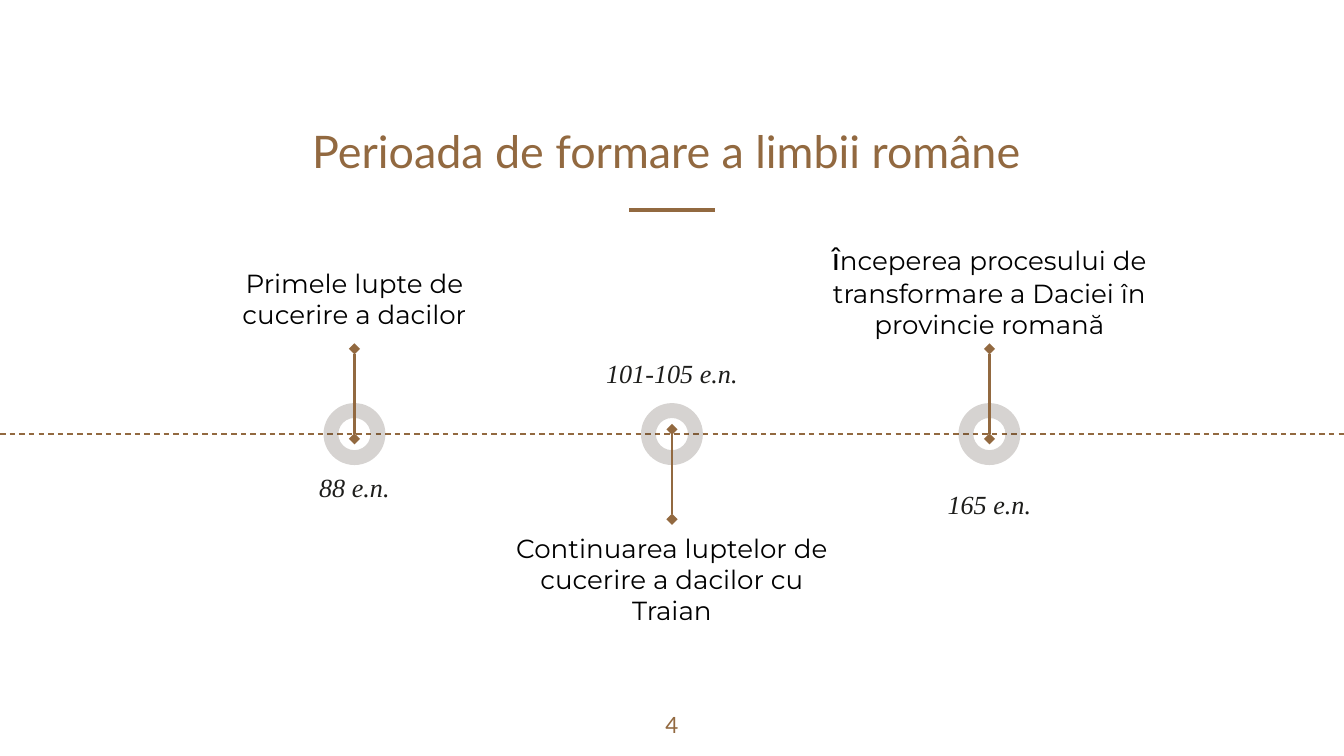
import pptx
import pptx.dml.color
import pptx.enum.dml
import pptx.enum.shapes
import pptx.enum.text
import pptx.oxml
import pptx.oxml.ns
import pptx.util
from dataclasses import dataclass

Cm = pptx.util.Cm
Pt = pptx.util.Pt
WIDTH, HEIGHT = 25.4, 14.28
MID = WIDTH / 2
AXIS = 8.2
PITCH = 6.0


@dataclass(frozen=True)
class Theme:
    brown: str = "926940"
    ring: str = "403228"
    black: str = "000000"
    ink: str = "1D1D1B"
    head: str = "Lato"
    body: str = "Montserrat"
    date: str = "Times New Roman"
    initial: str = "Calibri"
    title_size: int = 24
    text_size: int = 14
    page_size: int = 12
    initial_size: int = 18
    ring_alpha: int = 21


THEME = Theme()


@dataclass(frozen=True)
class Event:
    note: str
    date: str
    note_top: float
    note_width: float
    note_height: float
    date_top: float
    side: int  # -1: note above the axis, 1: below
    initial: str = ""


EVENTS = [
    Event("Primele lupte de cucerire a dacilor", "88 e.n.",
          4.8, 4.8, 2.49, 8.66, -1),
    Event("Continuarea luptelor de cucerire a dacilor cu Traian",
          "101-105 e.n.", 9.8, 6.88, 1.14, 6.5, 1),
    Event("nceperea procesului de transformare a Daciei în provincie romană",
          "165 e.n.", 4.22, 6.88, 1.14, 8.97, -1, "î"),
]


def rgb(code):
    return pptx.dml.color.RGBColor.from_string(code)


def add_xml(parent, tag, **attrs):
    node = pptx.oxml.parse_xml(f"<a:{tag} {pptx.oxml.ns.nsdecls('a')}/>")
    for key, value in attrs.items():
        node.set(key, value)
    parent.append(node)


def style(font, name, size, color, italic=False):
    font.name, font.size, font.italic = name, Pt(size), italic
    font.color.rgb = rgb(color)


def add_text(slide, text, mid, top, width, height, look, initial="",
             anchor=pptx.enum.text.MSO_ANCHOR.TOP):
    """Add a centred text, with an optional larger first letter."""
    box = slide.shapes.add_textbox(Cm(mid - width / 2), Cm(top),
                                   Cm(width), Cm(height))
    frame = box.text_frame
    frame.word_wrap = True
    frame.vertical_anchor = anchor
    frame.margin_left = frame.margin_right = Cm(0.25)
    frame.margin_top = frame.margin_bottom = Cm(0.25)
    para = frame.paragraphs[0]
    para.alignment = pptx.enum.text.PP_ALIGN.CENTER
    style(para.font, *look)
    if initial:
        run = para.add_run()
        run.text = initial
        style(run.font, THEME.initial, THEME.initial_size, THEME.black)
    run = para.add_run()
    run.text = text
    style(run.font, *look)


def add_line(slide, start, end, width, dash=False, ends=False):
    line = slide.shapes.add_connector(
        pptx.enum.shapes.MSO_CONNECTOR.STRAIGHT, *map(Cm, start + end))
    line.line.color.rgb = rgb(THEME.brown)
    line.line.width = Pt(width)
    if dash:
        line.line.dash_style = pptx.enum.dml.MSO_LINE.DASH
    if ends:
        for tag in ("headEnd", "tailEnd"):
            add_xml(line.line._get_or_add_ln(), tag, type="diamond")
    add_xml(line._element.spPr, "effectLst")


def add_ring(slide, mid):
    size = 1.17
    ring = slide.shapes.add_shape(
        pptx.enum.shapes.MSO_SHAPE.DONUT, Cm(mid - size / 2),
        Cm(AXIS - size / 2), Cm(size), Cm(size))
    ring.adjustments[0] = 0.24
    ring.shadow.inherit = False
    ring.line.fill.background()
    ring.fill.solid()
    ring.fill.fore_color.rgb = rgb(THEME.ring)
    color = ring._element.spPr.find(".//" + pptx.oxml.ns.qn("a:srgbClr"))
    add_xml(color, "alpha", val=str(THEME.ring_alpha * 1000))


def add_event(slide, event, mid):
    add_ring(slide, mid)
    near, far = AXIS - 0.09 * event.side, AXIS + 1.61 * event.side
    add_line(slide, (mid, near), (mid, far), 1.5, ends=True)
    add_text(slide, event.note, mid, event.note_top, event.note_width,
             event.note_height, (THEME.body, THEME.text_size, THEME.black),
             event.initial)
    add_text(slide, event.date, mid, event.date_top, 3.45, 1.14,
             (THEME.date, THEME.text_size, THEME.ink, True))


def main():
    deck = pptx.Presentation()
    deck.slide_width, deck.slide_height = Cm(WIDTH), Cm(HEIGHT)
    slide = deck.slides.add_slide(deck.slide_layouts[6])
    add_line(slide, (MID - 0.81, 3.96), (MID + 0.81, 3.96), 2.25)
    add_text(slide, "Perioada de formare a limbii române ", MID, 1.22,
             14.91, 2.39, (THEME.head, THEME.title_size, THEME.brown),
             anchor=pptx.enum.text.MSO_ANCHOR.BOTTOM)
    add_line(slide, (0, AXIS), (WIDTH, AXIS), 0.75, dash=True)
    for step, event in enumerate(EVENTS, -1):
        add_event(slide, event, MID + step * PITCH)
    add_text(slide, "4", MID, 13.18, 1.52, 1.09,
             (THEME.head, THEME.page_size, THEME.brown))
    deck.save("out.pptx")


if __name__ == "__main__":
    main()
